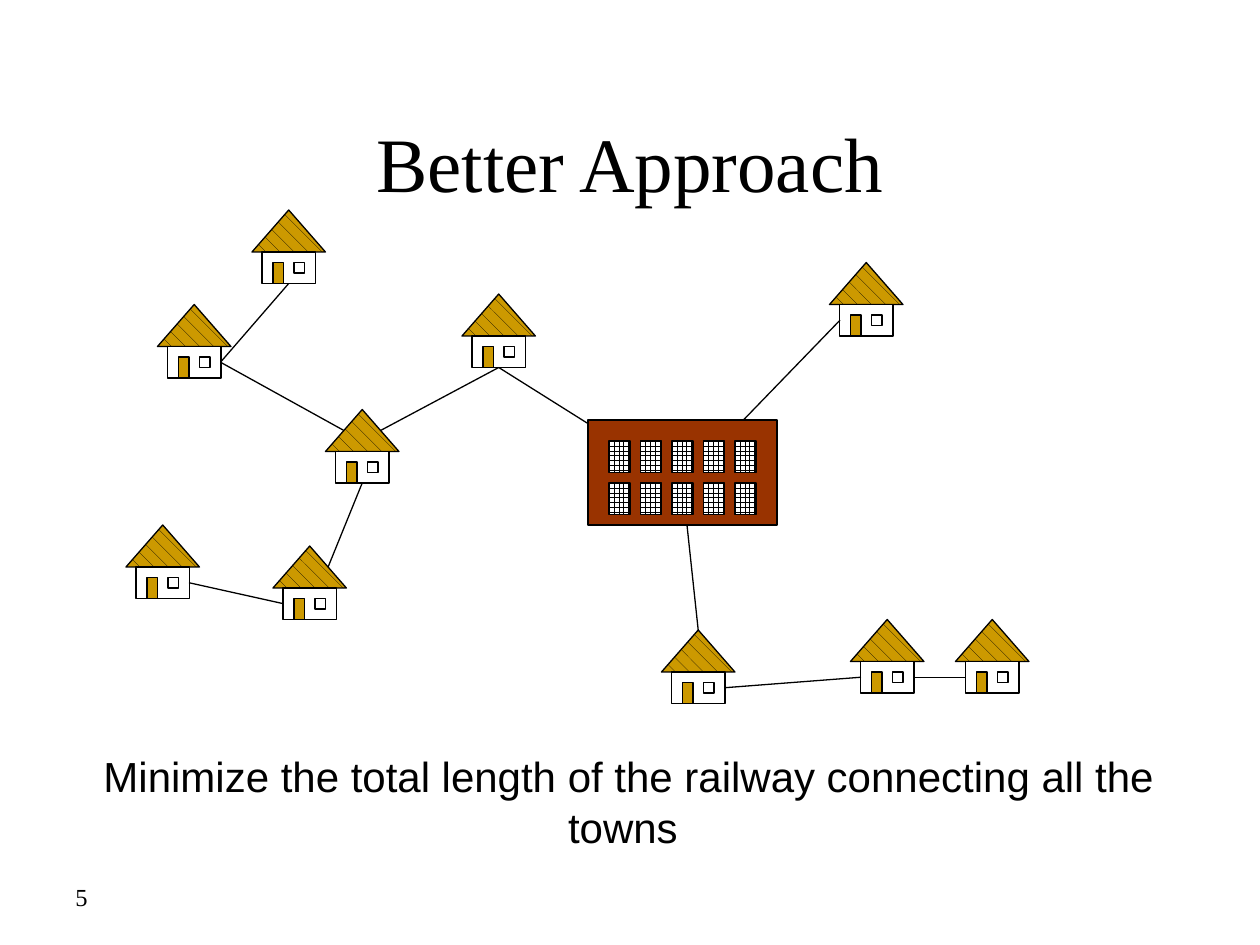
from lxml.etree import SubElement
from pptx import Presentation
from pptx.dml.color import RGBColor
from pptx.enum.dml import MSO_PATTERN
from pptx.enum.shapes import MSO_CONNECTOR, MSO_SHAPE
from pptx.enum.text import MSO_ANCHOR, PP_ALIGN
from pptx.oxml.ns import qn
from pptx.util import Inches, Pt

# Content: the map is laid out on a grid of twelfths of an inch
CELL = 1 / 12
BLACK, WHITE, GOLD, BRICK = "000000", "FFFFFF", "CC9900", "993300"

TOWNS = {
    "west": (12, 50), "south": (63, 60), "north": (44, 28), "northeast": (79, 25),
    "centre": (31, 39), "northwest": (15, 29), "far north": (24, 20),
    "southwest": (26, 52), "far east": (91, 59), "east": (81, 59),
}
HOUSE_PARTS = [  # preset, place in the house, fill, pattern
    (MSO_SHAPE.ISOSCELES_TRIANGLE, (0, 0, 7, 4), GOLD, MSO_PATTERN.SHINGLE),
    (MSO_SHAPE.RECTANGLE, (0.95, 4, 5.1, 3), WHITE, None),
    (MSO_SHAPE.RECTANGLE, (2, 5, 1, 2), GOLD, None),
    (MSO_SHAPE.RECTANGLE, (4, 5, 1, 1), None, None),
]
HOUSE_ANCHORS = {
    "left": (1, 5.5), "right": (6, 5.5), "bottom": (3.5, 7),
    "top": (3.5, 0), "roof left": (1.75, 2), "roof right": (5.25, 2),
}
STATION = (56, 40, 18, 10)
STATION_HUB = (65, 46)
RAILWAYS = [  # (town, anchor) at each end; None is the station
    (None, ("northeast", "left")),
    (None, ("south", "top")),
    (None, ("north", "bottom")),
    (("north", "bottom"), ("centre", "roof right")),
    (("centre", "roof left"), ("northwest", "right")),
    (("northwest", "right"), ("far north", "bottom")),
    (("centre", "bottom"), ("southwest", "roof right")),
    (("southwest", "left"), ("west", "right")),
    (("south", "right"), ("east", "left")),
    (("east", "right"), ("far east", "left")),
]


def color(value):
    return RGBColor.from_string(value)


def grid(*values):
    return [Inches(value * CELL) for value in values]


def add_text(text, left, top, width, height, size=24, font="Times New Roman",
             align=PP_ALIGN.LEFT, anchor=MSO_ANCHOR.TOP):
    box = slide.shapes.add_textbox(*map(Inches, (left, top, width, height)))
    frame = box.text_frame
    frame.word_wrap = True
    frame.vertical_anchor = anchor
    paragraph = frame.paragraphs[0]
    paragraph.alignment = align
    run = paragraph.add_run()
    run.text = text
    run.font.size = Pt(size)
    run.font.name = font
    run.font.color.rgb = color(BLACK)


def add_part(group, preset, place, fill, pattern=None):
    shape = group.shapes.add_shape(preset, *grid(*place))
    shape.shadow.inherit = False
    shape.line.color.rgb = color(BLACK)
    shape.line.width = Pt(0.75)
    if pattern:
        shape.fill.patterned()
        shape.fill.pattern = pattern
        shape.fill.fore_color.rgb = color(BLACK)
        shape.fill.back_color.rgb = color(fill)
    elif fill:
        shape.fill.solid()
        shape.fill.fore_color.rgb = color(fill)
    else:
        shape.fill.background()


def railway_end(end):
    if end is None:
        return STATION_HUB
    town, anchor = end
    return [a + b for a, b in zip(TOWNS[town], HOUSE_ANCHORS[anchor])]


presentation = Presentation()
presentation.slide_width, presentation.slide_height = Inches(10), Inches(7.5)
slide = presentation.slides.add_slide(presentation.slide_layouts[6])

# Slide number and title
add_text("5", 0.5, 6.95, 2.33, 0.4, size=14)
add_text("Better Approach", 0.75, 0.66, 8.5, 1.25, size=44,
         align=PP_ALIGN.CENTER, anchor=MSO_ANCHOR.MIDDLE)

# Towns
for x, y in TOWNS.values():
    house = slide.shapes.add_group_shape()
    for preset, (dx, dy, width, height), fill, pattern in HOUSE_PARTS:
        add_part(house, preset, (x + dx, y + dy, width, height), fill, pattern)

# Railways
for start, end in RAILWAYS:
    railway = slide.shapes.add_connector(
        MSO_CONNECTOR.STRAIGHT, *grid(*railway_end(start), *railway_end(end)))
    railway.line.color.rgb = color(BLACK)
    railway.line.width = Pt(0.75)
    SubElement(railway._element.spPr, qn("a:effectLst"))

# Station with two rows of five windows
station = slide.shapes.add_group_shape()
add_part(station, MSO_SHAPE.RECTANGLE, STATION, BRICK)
for row in range(2):
    for column in range(5):
        place = (STATION[0] + 2 + 3 * column, STATION[1] + 2 + 4 * row, 2, 3)
        add_part(station, MSO_SHAPE.RECTANGLE, place, WHITE, MSO_PATTERN.LARGE_GRID)

# Caption
add_text("Minimize the total length of the railway connecting all the towns ",
         0.59, 5.91, 8.8, 0.91, font="Arial", align=PP_ALIGN.CENTER)

presentation.save("out.pptx")
